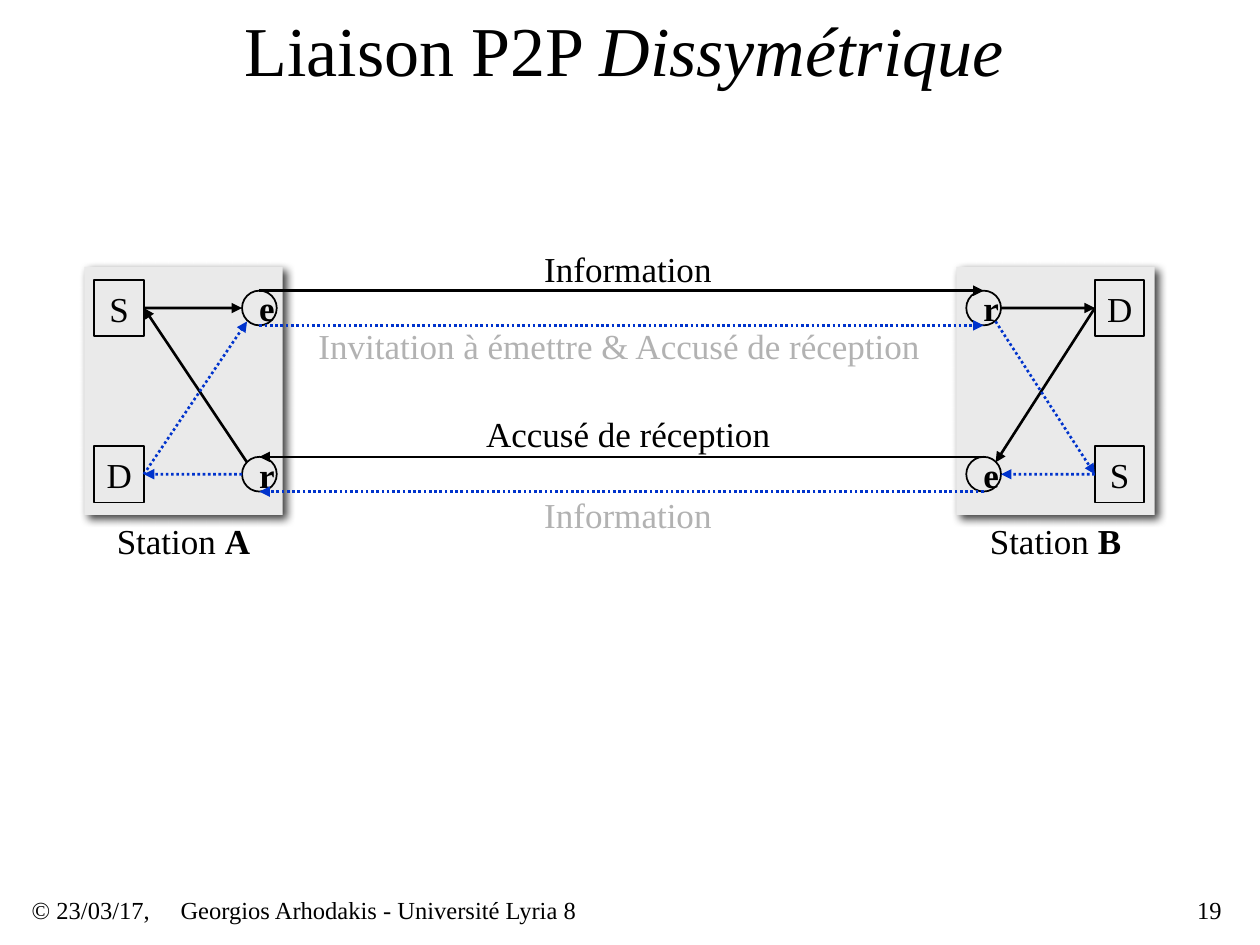
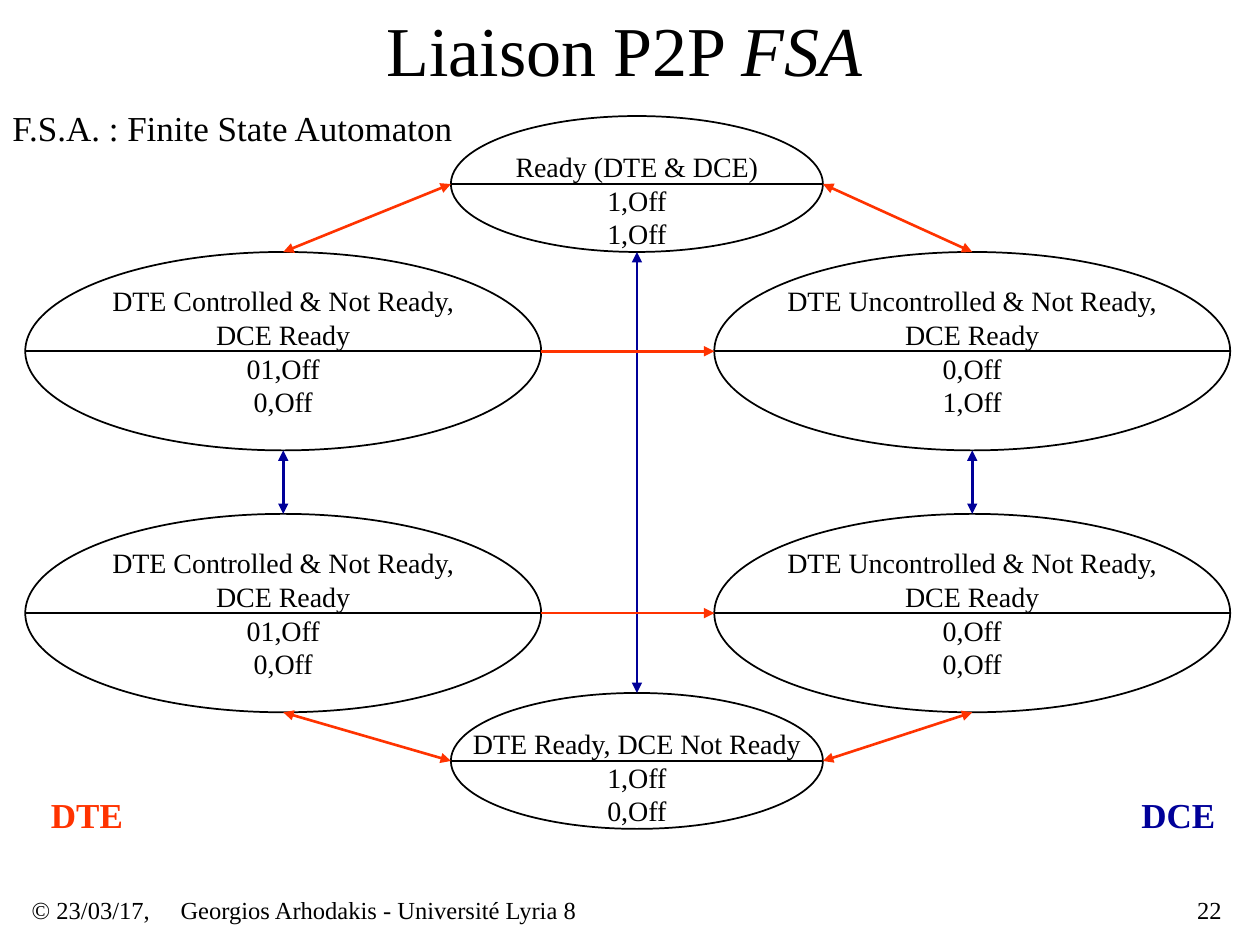
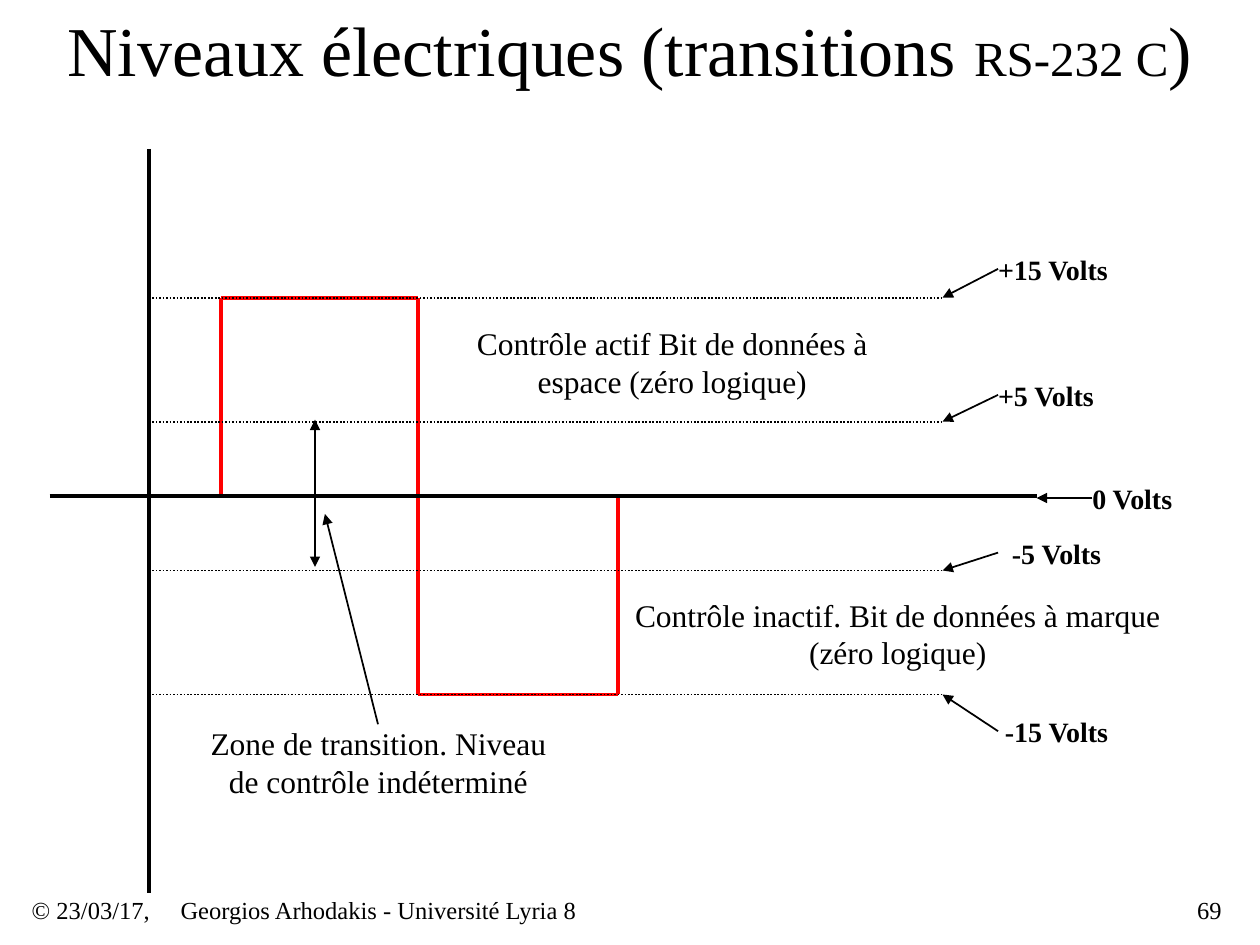
from lxml.etree import SubElement
from pptx import Presentation
from pptx.dml.color import RGBColor
from pptx.enum.dml import MSO_LINE
from pptx.enum.shapes import MSO_CONNECTOR, MSO_SHAPE
from pptx.enum.text import MSO_ANCHOR, MSO_AUTO_SIZE, PP_ALIGN
from pptx.oxml.ns import qn
from pptx.util import Cm, Pt

BLACK = RGBColor(0x00, 0x00, 0x00)
GREY = RGBColor(0xB2, 0xB2, 0xB2)
STATION_GREY = RGBColor(0xEA, 0xEA, 0xEA)
BLUE = RGBColor(0x00, 0x33, 0xCC)
NAVY = RGBColor(0x00, 0x00, 0x99)
ORANGE = RGBColor(0xFF, 0x33, 0x00)
RED = RGBColor(0xFF, 0x00, 0x00)

FONT = "Times New Roman"
NO_MARGINS = (0, 0, 0, 0)
MARGINS = (0.25, 0.13, 0.25, 0.13)
FOOTER_MARGINS = (0.13, 0.05, 0.13, 0.05)
LEFT, CENTER, RIGHT = PP_ALIGN.LEFT, PP_ALIGN.CENTER, PP_ALIGN.RIGHT


def write(shape, lines, size=20, color=BLACK, bold=False, align=CENTER,
          margins=NO_MARGINS, anchor=MSO_ANCHOR.MIDDLE, wrap=True):
    """Fill a shape; each line is a list of (text, font changes) spans."""
    frame = shape.text_frame
    sides = ("margin_left", "margin_top", "margin_right", "margin_bottom")
    layout = dict(zip(sides, map(Cm, margins)), word_wrap=wrap,
                  vertical_anchor=anchor, auto_size=MSO_AUTO_SIZE.NONE)
    for name, value in layout.items():
        setattr(frame, name, value)
    for number, line in enumerate(lines):
        para = frame.add_paragraph() if number else frame.paragraphs[0]
        para.alignment = align
        for text, changes in line:
            span = para.add_run()
            span.text = text
            span.font.color.rgb = color
            values = {"name": FONT, "size": Pt(size), "bold": bold, **changes}
            for name, value in values.items():
                setattr(span.font, name, value)


def add_line(page, start, end, color=BLACK, width=1.0, dash=None, arrows=()):
    """Draw a straight line; arrows may hold "headEnd" and "tailEnd"."""
    line = page.shapes.add_connector(
        MSO_CONNECTOR.STRAIGHT, *map(Cm, (*start, *end)))
    line.line.color.rgb = color
    line.line.width = Pt(width)
    if dash:
        line.line.dash_style = dash
    properties = line.element.spPr
    for arrow in arrows:
        SubElement(properties.find(qn("a:ln")), qn(f"a:{arrow}"), type="triangle")
    SubElement(properties, qn("a:effectLst"))
    return line


ONE_WAY = ("tailEnd",)
BOTH_WAYS = ("headEnd", "tailEnd")
DOTS = MSO_LINE.ROUND_DOT

deck = Presentation()
deck.slide_width, deck.slide_height = Cm(25.4), Cm(19.05)

# Titles and footers
titles = [
    ("19", 2.74, 19.69, [("Liaison P2P ", {}), ("Dissymétrique", {"italic": True})]),
    ("22", 2.74, 19.69, [("Liaison P2P ", {}), ("FSA", {"italic": True})]),
    ("69", 0.84, 23.7, [("Niveaux électriques (transitions ", {}),
                        ("RS-232 C", {"size": Pt(28)}), (")", {})]),
]
pages = []
for number, left, width, spans in titles:
    page = deck.slides.add_slide(deck.slide_layouts[5])
    pages.append(page)
    title = page.shapes.title
    title.left, title.top, title.width, title.height = map(Cm, (left, 0, width, 1.96))
    write(title, [spans], size=40, margins=MARGINS)
    footers = [
        (0.51, 5, "© 23/03/17,", LEFT),
        (3.51, 13, "Georgios Arhodakis - Université Lyria 8", LEFT),
        (19.48, 5.28, number, RIGHT),
    ]
    for footer_left, footer_width, text, align in footers:
        box = page.shapes.add_textbox(*map(Cm, (footer_left, 17.98, footer_width, 0.71)))
        write(box, [[(text, {})]], size=14, align=align, margins=FOOTER_MARGINS)
link_page, automaton_page, levels_page = pages
outlined = []

# Asymmetric link: two stations, each with two squares and two circles
ROWS = (6.21, 9.56)
CIRCLE = 0.7
stations = [
    ("A", 1.7, 1.9, 4.88, "SD", "er"),
    ("B", 19.28, 22.07, 19.48, "DS", "re"),
]
squares = {}
for station, left, square_left, circle_left, square_names, circle_names in stations:
    panel = link_page.shapes.add_shape(
        MSO_SHAPE.RECTANGLE, *map(Cm, (left, 5.38, 4, 5)))
    panel.fill.solid()
    panel.fill.fore_color.rgb = STATION_GREY
    panel.line.fill.background()
    panel.shadow.inherit = False
    shadow = SubElement(
        panel.element.spPr.find(qn("a:effectLst")), qn("a:outerShdw"),
        blurRad=str(Pt(5)), dist=str(Pt(3)), dir="2700000", rotWithShape="0")
    shadow_color = SubElement(shadow, qn("a:srgbClr"), val="000000")
    SubElement(shadow_color, qn("a:alpha"), val="75000")
    for row, square_name, circle_name in zip(ROWS, square_names, circle_names):
        square = link_page.shapes.add_shape(
            MSO_SHAPE.RECTANGLE, *map(Cm, (square_left, row - 0.57, 1, 1.14)))
        write(square, [[(square_name, {})]], margins=MARGINS)
        circle = link_page.shapes.add_shape(
            MSO_SHAPE.OVAL, *map(Cm, (circle_left, row - CIRCLE / 2, CIRCLE, CIRCLE)))
        write(circle, [[(circle_name, {})]], bold=True, margins=MARGINS)
        squares[station + square_name] = square
        outlined += [square, circle]
    caption = link_page.shapes.add_textbox(*map(Cm, (left + 0.1, 10.36, 3.8, 1.09)))
    write(caption, [[("Station ", {}), (station, {"bold": True})]], margins=MARGINS)

solid = {"width": 1.5, "arrows": ONE_WAY}
dotted = {**solid, "color": BLUE, "dash": DOTS}
# square, side of the square, point on the circle, whether the square sends, style
local_links = [
    ("AS", 3, (4.88, ROWS[0]), True, solid),
    ("AD", 3, (4.88, ROWS[1]), False, dotted),
    ("AS", 3, (4.98, 9.32), False, solid),
    ("AD", 3, (4.98, 6.48), True, dotted),
    ("BD", 1, (20.18, ROWS[0]), False, solid),
    ("BD", 1, (20.07, 9.32), True, solid),
    ("BS", 1, (20.07, 6.48), False, dotted),
    ("BS", 1, (20.18, ROWS[1]), True, dotted),
]
for name, side, point, sends, style in local_links:
    link = add_line(link_page, point, point, **style)
    join = link.begin_connect if sends else link.end_connect
    join(squares[name], side)

for row, (start, end) in zip(ROWS, [(5.23, 19.83), (19.83, 5.23)]):
    for offset, style in [(-CIRCLE / 2, solid), (CIRCLE / 2, dotted)]:
        add_line(link_page, (start, row + offset), (end, row + offset), **style)

link_labels = [
    (10.97, 5, 3.38, "Information", BLACK),
    (6.35, 6.55, 12.27, "Invitation à émettre & Accusé de réception", GREY),
    (9.73, 8.31, 5.87, "Accusé de réception", BLACK),
    (10.97, 9.96, 3.38, "Information", GREY),
]
for left, top, width, text, color in link_labels:
    box = link_page.shapes.add_textbox(*map(Cm, (left, top, width, 0.84)))
    write(box, [[(text, {})]], color=color)

# Finite state automaton
WIDE, NARROW = (10.4, 4), (7.5, 2.74)
CONTROLLED = "DTE Controlled & Not Ready,"
UNCONTROLLED = "DTE Uncontrolled & Not Ready,"
LEFT_X, MIDDLE_X, RIGHT_X = 5.71, 12.84, 19.6
READY_Y, UPPER_Y, LOWER_Y, NOT_READY_Y = 3.71, 7.08, 12.36, 15.34
states = [
    (MIDDLE_X, READY_Y, NARROW, ["Ready (DTE & DCE)", "1,Off", "1,Off"]),
    (LEFT_X, UPPER_Y, WIDE, [CONTROLLED, "DCE Ready", "01,Off", "0,Off"]),
    (RIGHT_X, UPPER_Y, WIDE, [UNCONTROLLED, "DCE Ready", "0,Off", "1,Off"]),
    (LEFT_X, LOWER_Y, WIDE, [CONTROLLED, "DCE Ready", "01,Off", "0,Off"]),
    (RIGHT_X, LOWER_Y, WIDE, [UNCONTROLLED, "DCE Ready", "0,Off", "0,Off"]),
    (MIDDLE_X, NOT_READY_Y, NARROW, ["DTE Ready, DCE Not Ready", "1,Off", "0,Off"]),
]
for x, y, (width, height), lines in states:
    state = automaton_page.shapes.add_shape(
        MSO_SHAPE.OVAL, *map(Cm, (x - width / 2, y - height / 2, width, height)))
    # With three lines, the name still sits just above the dividing line
    margins = (0, 0.65, 0, 0) if len(lines) == 3 else NO_MARGINS
    write(state, [[(line, {})] for line in lines], size=16, margins=margins, wrap=False)
    outlined.append(state)
    add_line(automaton_page, (x - width / 2, y), (x + width / 2, y))

wide_x, wide_y = WIDE[0] / 2, WIDE[1] / 2
narrow_x, narrow_y = NARROW[0] / 2, NARROW[1] / 2
add_line(automaton_page, (MIDDLE_X, READY_Y + narrow_y),
         (MIDDLE_X, NOT_READY_Y - narrow_y), NAVY, 1.5, arrows=BOTH_WAYS)
for y in (UPPER_Y, LOWER_Y):
    add_line(automaton_page, (LEFT_X + wide_x, y), (RIGHT_X - wide_x, y),
             ORANGE, 1.5, arrows=ONE_WAY)
for x, narrow_side in [(LEFT_X, MIDDLE_X - narrow_x), (RIGHT_X, MIDDLE_X + narrow_x)]:
    add_line(automaton_page, (x, UPPER_Y + wide_y), (x, LOWER_Y - wide_y),
             NAVY, 1.5, arrows=BOTH_WAYS)
    for wide_edge, narrow_row in [(UPPER_Y - wide_y, READY_Y),
                                  (LOWER_Y + wide_y, NOT_READY_Y)]:
        add_line(automaton_page, (x, wide_edge), (narrow_side, narrow_row),
                 ORANGE, 1.5, arrows=BOTH_WAYS)

for left, text, color in [(0.99, "DTE", ORANGE), (22.99, "DCE", NAVY)]:
    box = automaton_page.shapes.add_textbox(*map(Cm, (left, 16, 1.53, 0.84)))
    write(box, [[(text, {})]], color=color, bold=True)
definition = automaton_page.shapes.add_textbox(*map(Cm, (0, 2.01, 9.45, 1.09)))
write(definition, [[("F.S.A. : Finite State Automaton", {})]], align=LEFT,
      margins=MARGINS, anchor=MSO_ANCHOR.TOP, wrap=False)

for shape in outlined:
    shape.shadow.inherit = False
    shape.fill.background()
    shape.line.color.rgb = BLACK
    shape.line.width = Pt(1)

# Electrical levels
AXIS_X, ZERO_Y, LEVEL_END = 3, 10, 19
add_line(levels_page, (AXIS_X, 3), (AXIS_X, 18), width=2.25)
signal = [(4.45, ZERO_Y), (4.45, 6), (8.43, 6), (8.43, 14), (12.45, 14), (12.45, ZERO_Y)]
for start, end in zip(signal, signal[1:]):
    add_line(levels_page, start, end, RED, 2.25)
add_line(levels_page, (1, ZERO_Y), (20.9, ZERO_Y), width=2.25)

levels = [
    ("+15 Volts", 6, 20.12, 5.08, LEFT),
    ("+5 Volts", 8.5, 20.12, 7.62, LEFT),
    ("0 Volts", 10.04, 22.02, 9.7, LEFT),
    ("-5 Volts", 11.5, 20.12, 10.8, CENTER),
    ("-15 Volts", 14, 20.12, 14.4, CENTER),
]
for text, y, left, top, align in levels:
    box = levels_page.shapes.add_textbox(*map(Cm, (left, top, 2.36, 0.69)))
    write(box, [[(text, {})]], size=16, bold=True, align=align)
    add_line(levels_page, (left, top + 0.34), (left - 1.12, y), arrows=ONE_WAY)
    if text != "0 Volts":
        add_line(levels_page, (AXIS_X, y), (LEVEL_END, y), dash=DOTS)

add_line(levels_page, (6.35, 8.46), (6.35, 11.43), arrows=BOTH_WAYS)
add_line(levels_page, (7.62, 14.6), (6.55, 10.36), arrows=ONE_WAY)
zones = [
    (8.69, 6.53, 9.73, "Contrôle actif Bit de données à espace (zéro logique)"),
    (12.7, 12.01, 10.8, "Contrôle inactif. Bit de données à marque (zéro logique)"),
    (4.24, 14.6, 6.78, "Zone de transition. Niveau de contrôle indéterminé"),
]
for left, top, width, text in zones:
    box = levels_page.shapes.add_textbox(*map(Cm, (left, top, width, 1.52)))
    write(box, [[(text, {})]], size=18)

deck.save("out.pptx")
